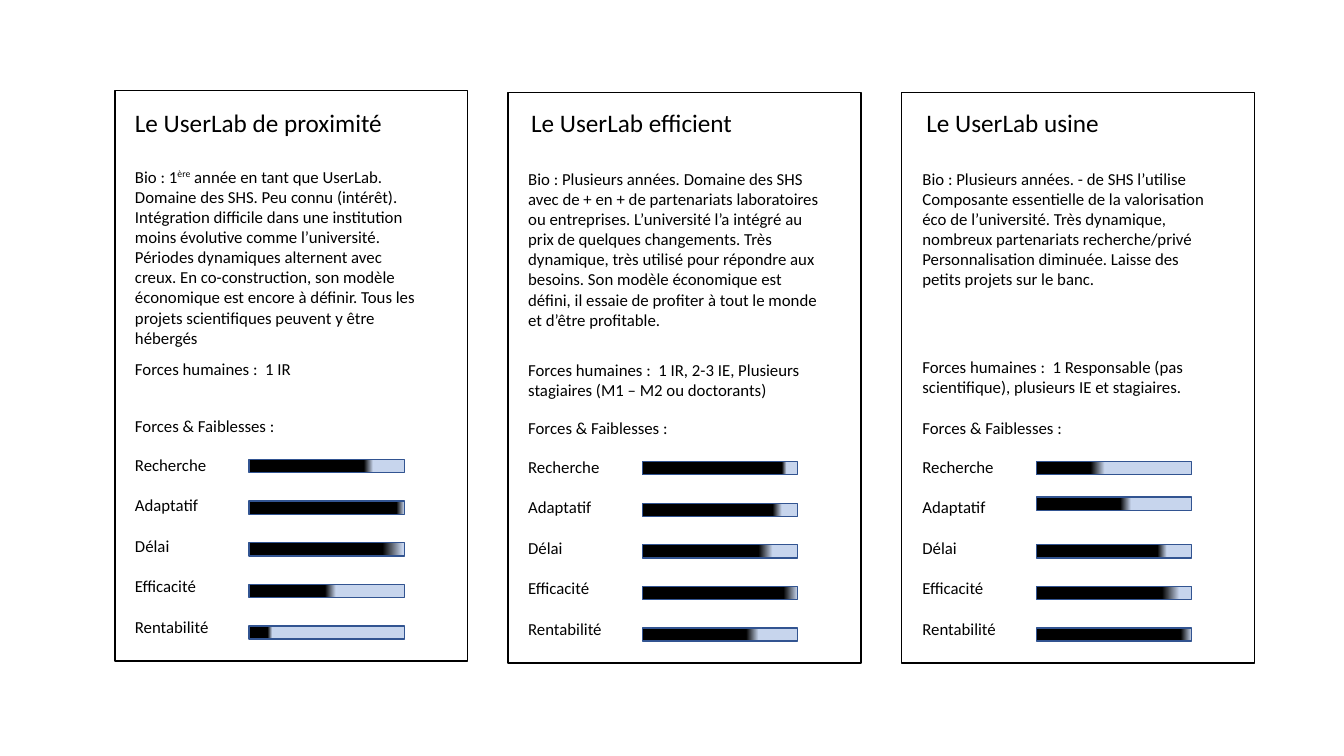
from copy import deepcopy

from pptx import Presentation
from pptx.dml.color import RGBColor
from pptx.enum.shapes import MSO_SHAPE as Shape
from pptx.enum.text import MSO_AUTO_SIZE as Fit
from pptx.oxml.ns import qn
from pptx.util import Emu, Pt

PX = 9144  # 100 px to the inch
BLACK = RGBColor(0x00, 0x00, 0x00)
PALE = RGBColor(0xC7, 0xD5, 0xED)
BLUE = RGBColor(0x32, 0x54, 0x91)

SKILLS = [("Recherche", 92), ("Adaptatif", 83), ("Délai", 55),
          ("Efficacité", 82), ("Rentabilité", 94)]

# Bars: where black ends and where pale begins, in percent.
# Texts: runs alternate between normal and superscript.
CARDS = [
    dict(box=(114, 90, 350, 566), pad=10, title="Le UserLab de proximité", title_at=(10, 12),
         bio=["Bio : 1", "ère",
              " année en tant que UserLab. Domaine des SHS. Peu connu (intérêt). "
              "Intégration difficile dans une institution moins évolutive comme "
              "l’université. Périodes dynamiques alternent avec creux. En "
              "co-construction, son modèle économique est encore à définir. Tous "
              "les projets scientifiques peuvent y être hébergés"],
         bio_high=192, staff="Forces humaines :  1 IR", staff_at=261, staff_high=30,
         bars=[(74, 80), (95, 100), (86, 99), (49, 56), (12, 15)], shifts={}),
    dict(box=(504, 92, 350, 566), pad=10, title="Le UserLab efficient", title_at=(13, 10),
         bio=["Bio : Plusieurs années. Domaine des SHS avec de + en + de "
              "partenariats laboratoires ou entreprises. L’université l’a intégré "
              "au prix de quelques changements. Très dynamique, très utilisé pour "
              "répondre aux besoins. Son modèle économique est défini, il essaie "
              "de profiter à tout le monde et d’être profitable."],
         bio_high=172,
         staff="Forces humaines :  1 IR, 2-3 IE, Plusieurs stagiaires (M1 – M2 ou doctorants)",
         staff_at=260, staff_high=50,
         bars=[(90, 93), (84, 90), (75, 84), (91, 100), (67, 75)], shifts={}),
    dict(box=(894, 92, 350, 566), pad=11, title="Le UserLab usine", title_at=(15, 10),
         bio=["Bio : Plusieurs années. - de SHS l’utilise Composante essentielle de "
              "la valorisation éco de l’université. Très dynamique, nombreux "
              "partenariats recherche/privé Personnalisation diminuée. Laisse des "
              "petits projets sur le banc."],
         bio_high=131,
         staff="Forces humaines :  1 Responsable (pas scientifique), plusieurs IE et stagiaires.",
         staff_at=257, staff_high=50,
         bars=[(35, 44), (54, 61), (78, 84), (81, 92), (93, 100)],
         shifts={"Adaptatif": -6}),
]


def emus(*lengths):
    return [Emu(round(n * PX)) for n in lengths]


def add_text(slide, box, runs, size=12, wrap=True):
    frame = slide.shapes.add_textbox(*emus(*box)).text_frame
    frame.word_wrap = wrap
    frame.auto_size = Fit.SHAPE_TO_FIT_TEXT
    para = frame.paragraphs[0]
    para.font.size = Pt(size)
    para.font.name = "Calibri"
    para.font.color.rgb = BLACK
    for i, text in enumerate(runs):
        run = para.add_run()
        run.text = text
        if i % 2:
            run.font._element.set("baseline", "30000")


def add_rect(slide, box, line):
    rect = slide.shapes.add_shape(Shape.RECTANGLE, *emus(*box))
    rect.shadow.inherit = False
    rect.line.color.rgb = line
    rect.line.width = Pt(1)
    return rect


def add_bar(slide, box, full, empty):
    """Draw a gauge, black up to full and pale from empty on."""
    bar = add_rect(slide, box, BLUE)
    bar.fill.gradient()
    bar.fill.gradient_angle = 0
    stops = bar._element.spPr.find(".//" + qn("a:gsLst"))
    stops.append(deepcopy(stops[0]))
    marks = [(0, BLACK), (full, BLACK), (empty, PALE)]
    for stop, (place, color) in zip(bar.fill.gradient_stops, marks):
        stop.position = place / 100
        stop.color.rgb = color


def add_skills(slide, left, top, bars, shifts):
    """Draw the five labelled gauges."""
    for i, ((name, wide), (full, empty)) in enumerate(zip(SKILLS, bars)):
        add_text(slide, (left, top + 40.25 * i, wide, 30), [name], wrap=False)
        y = top + 10 + 41.25 * i + shifts.get(name, 0)
        add_bar(slide, (left + 123, y, 154, 13), full, empty)


def add_card(slide, card):
    x, y, _, _ = card["box"]
    add_rect(slide, card["box"], BLACK).fill.background()
    dx, dy = card["title_at"]
    add_text(slide, (x + dx, y + dy, 300, 40), [card["title"]], size=18)
    left = x + card["pad"]
    for top, high, runs in [(70, card["bio_high"], card["bio"]),
                            (card["staff_at"], card["staff_high"], [card["staff"]]),
                            (318, 30, ["Forces & Faiblesses :"])]:
        add_text(slide, (left, y + top, 309, high), runs)
    add_skills(slide, left, y + 356, card["bars"], card["shifts"])


def main():
    deck = Presentation()
    deck.slide_width, deck.slide_height = emus(1333, 750)
    slide = deck.slides.add_slide(deck.slide_layouts[6])
    for card in CARDS:
        add_card(slide, card)
    deck.save("out.pptx")


if __name__ == "__main__":
    main()
